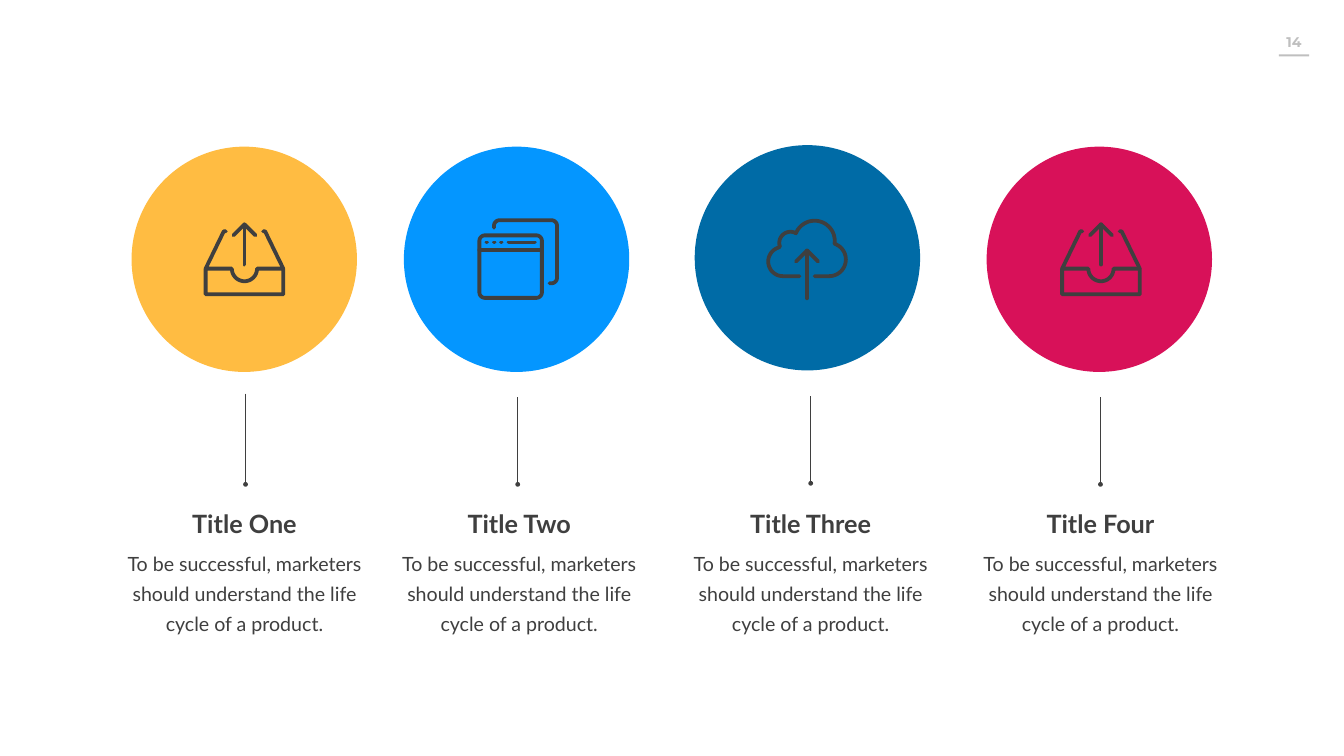
from math import cos, radians, sin

from lxml import etree
from pptx import Presentation
from pptx import util as u
from pptx.dml.color import RGBColor
from pptx.enum import shapes, text
from pptx.oxml.ns import qn

INK = RGBColor(0x3F, 0x3F, 0x3F)
GREY = RGBColor(0xBF, 0xBF, 0xBF)
AMBER = RGBColor(0xFF, 0xBC, 0x42)
SKY = RGBColor(0x04, 0x96, 0xFF)
NAVY = RGBColor(0x00, 0x6B, 0xA6)
CRIMSON = RGBColor(0xD8, 0x11, 0x59)

BODY = "To be successful, marketers should understand the life cycle of a product."


def arc(cx, cy, radius, start, end, steps=24):
    """Points along an arc; degrees run clockwise from three o'clock."""
    angles = [radians(start + (end - start) * i / steps) for i in range(steps + 1)]
    return [(cx + radius * cos(a), cy + radius * sin(a)) for a in angles]


def arrow(tip, foot, wing):
    """Strokes of an upward arrow on the icon's centre line."""
    return [[(0.81, foot), (0.81, tip)],
            [(0.81 - wing, tip + wing), (0.81, tip), (0.81 + wing, tip + wing)]]


# Icons are lists of strokes, in inches from the icon's top left corner.
TRAY = [
    [(0.04, 0.92), *arc(0.81, 0.92, 0.25, 180, 0), (1.58, 0.92),
     (1.58, 1.43), (0.04, 1.43), (0.04, 0.92), (0.4, 0.18), (0.44, 0.18)],
    [(1.58, 0.92), (1.22, 0.18), (1.18, 0.18)],
    *arrow(0.04, 0.84, 0.22),
]
WINDOWS = [
    [*arc(0.15, 0.45, 0.11, 180, 270), *arc(1.17, 0.45, 0.11, 270, 360),
     *arc(1.17, 1.47, 0.11, 0, 90), *arc(0.15, 1.47, 0.11, 90, 180), (0.04, 0.45)],
    [(0.04, 0.63), (1.28, 0.63)],
    [(0.62, 0.48), (1.14, 0.48)],
    *[[(x, 0.48), (x + 0.01, 0.48)] for x in (0.18, 0.33, 0.47)],
    [(0.33, 0.19), *arc(0.44, 0.15, 0.11, 180, 270), *arc(1.47, 0.15, 0.11, 270, 360),
     *arc(1.47, 1.18, 0.11, 0, 90), (1.43, 1.29)],
]
CLOUD = [
    [(0.66, 1.14), *arc(0.33, 0.85, 0.29, 90, 250), *arc(0.48, 0.48, 0.22, 160, 300),
     *arc(0.96, 0.44, 0.4, 208, 368), *arc(1.25, 0.81, 0.33, -65, 90), (0.96, 1.14)],
    *arrow(0.63, 1.58, 0.22),
]


class Deck:
    """Style and current slide; lengths are in a grid of 100 columns by 100 rows."""

    def __init__(self, width, height):
        self.prs = Presentation()
        self.prs.slide_width, self.prs.slide_height = u.Inches(width), u.Inches(height)
        self.s = self.prs.slides.add_slide(self.prs.slide_layouts[6])

    def col(self, n):
        return round(self.prs.slide_width * n / 100)

    def row(self, n):
        return round(self.prs.slide_height * n / 100)

    def box(self, x, y, w, h):
        return self.col(x), self.row(y), self.col(w), self.row(h)

    def shape(self, kind, color, *place):
        sp = self.s.shapes.add_shape(kind, *self.box(*place))
        sp.shadow.inherit = False
        sp.fill.solid()
        sp.fill.fore_color.rgb = color
        sp.line.fill.background()

    def stem(self, x, top, bottom):
        """Vertical line that ends in a dot."""
        x = self.col(x)
        c = self.s.shapes.add_connector(
            shapes.MSO_CONNECTOR.STRAIGHT, x, self.row(top), x, self.row(bottom))
        c.line.color.rgb = INK
        c.line.width = u.Pt(2.25)
        etree.SubElement(c.line._get_or_add_ln(), qn("a:tailEnd"), type="oval")
        etree.SubElement(c._element.spPr, qn("a:effectLst"))

    def icon(self, strokes, x, y):
        """One outline drawn with round-ended strokes."""
        paths = [[(a * 1000, b * 1000) for a, b in stroke] for stroke in strokes]
        builder = self.s.shapes.build_freeform(*paths[0][0], scale=914.4)
        for i, (start, *rest) in enumerate(paths):
            if i:
                builder.move_to(*start)
            builder.add_line_segments(rest, close=False)
        sp = builder.convert_to_shape(self.col(x), self.row(y))
        sp.shadow.inherit = False
        sp.fill.background()
        sp.line.color.rgb = INK
        sp.line.width = u.Pt(5.4)
        ln = sp.line._get_or_add_ln()
        ln.set("cap", "rnd")
        etree.SubElement(ln, qn("a:round"))

    def text(self, words, place, size, font="Lato", color=INK, bold=False,
             spacing=None, wrap=True):
        tf = self.s.shapes.add_textbox(*self.box(*place)).text_frame
        tf.word_wrap = wrap
        tf.text = words
        p = tf.paragraphs[0]
        p.alignment = text.PP_ALIGN.CENTER
        if spacing:
            p.line_spacing = u.Pt(spacing)
        f = p.runs[0].font
        f.name, f.size, f.bold = font, u.Pt(size), bold
        f.color.rgb = color


def main():
    deck = Deck(26.66, 15)
    deck.text("14", (94.52, 4.13, 3.53, 3.6), 20, "Montserrat", GREY, bold=True, wrap=False)
    deck.shape(shapes.MSO_SHAPE.RECTANGLE, GREY, 95.16, 7.2, 2.25, 0.27)

    # title, colour, circle left and top, icon with left and top,
    # stem column, top and bottom, text left
    steps = [
        ("Title One", AMBER, (9.79, 19.4), (TRAY, 15.15, 29.4), (18.27, 52.07, 64.07), 9.04),
        ("Title Two", SKY, (30.05, 19.4), (WINDOWS, 35.52, 28.87), (38.52, 52.53, 64.07), 29.48),
        ("Title Three", NAVY, (51.69, 19.2), (CLOUD, 57.01, 28.93), (60.32, 52.4, 63.93), 51.16),
        ("Title Four", CRIMSON, (73.41, 19.4), (TRAY, 78.88, 29.4), (81.88, 52.53, 64.07), 72.73),
    ]
    for title, color, circle, icon, stem, left in steps:
        deck.stem(*stem)
        deck.shape(shapes.MSO_SHAPE.OVAL, color, *circle, 16.77, 29.8)
        deck.icon(*icon)
        deck.text(title, (left, 66.93, 18.3, 4.73), 36, bold=True)
        deck.text(BODY, (left, 71.8, 18.3, 12.27), 28, spacing=43)
    deck.prs.save("out.pptx")


if __name__ == "__main__":
    main()
